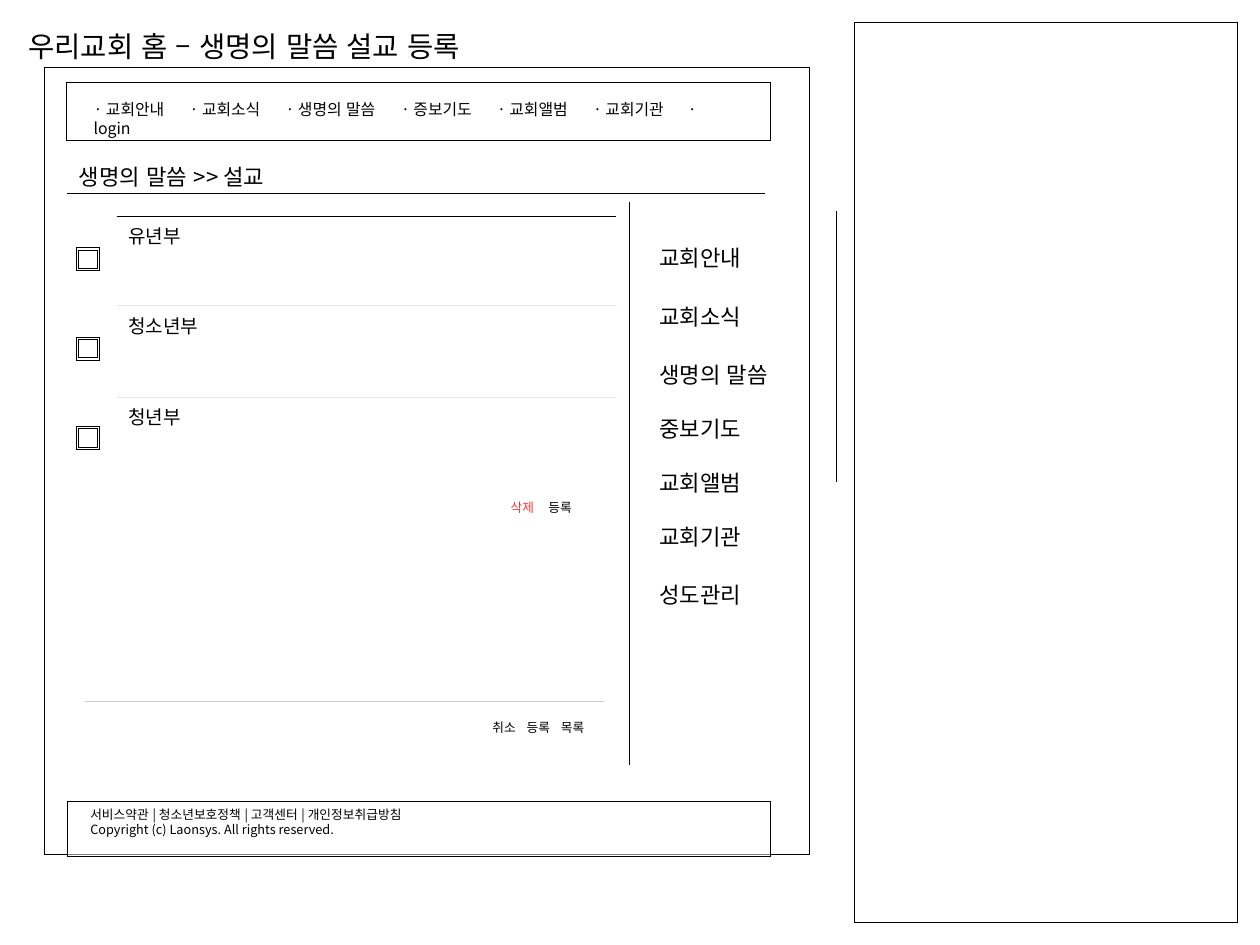
from lxml.etree import SubElement
from pptx import Presentation
from pptx.dml.color import RGBColor
from pptx.enum.shapes import MSO_CONNECTOR, MSO_SHAPE
from pptx.enum.text import MSO_ANCHOR, MSO_AUTO_SIZE, PP_ALIGN
from pptx.oxml.ns import qn
from pptx.util import Inches, Pt

COLORS = {
    "ink": "000000",
    "paper": "FFFFFF",
    "rule": "CCCCCC",
    "row": "E6E6FF",
    "delete": "FF3333",
}
FONT = "Noto Sans CJK KR"
HAIRLINE = Pt(0.01)
CM_PER_INCH = 2.54


def rgb(name):
    return RGBColor.from_string(COLORS[name])


def write_text(paragraph, text, size=14, color="ink", tabs=()):
    """Add one run; tabs are stops in inches from the text edge."""
    if tabs:
        tab_list = SubElement(paragraph._p.get_or_add_pPr(), qn("a:tabLst"))
        for stop in tabs:
            SubElement(tab_list, qn("a:tab"), pos=str(Inches(stop)), algn="l")
    paragraph.alignment = PP_ALIGN.LEFT
    run = paragraph.add_run()
    run.text = text
    run.font.size = Pt(size)
    run.font.name = FONT
    run.font.color.rgb = rgb(color)
    properties = run._r.get_or_add_rPr()
    properties.set("lang", "ko-KR")
    properties.set("kern", "0")
    SubElement(properties, qn("a:ea"), typeface=FONT)


class Wireframe:
    def __init__(self, slide):
        self.slide = slide

    def panel(self, left, top, width, height, kind=MSO_SHAPE.RECTANGLE):
        shape = self.slide.shapes.add_shape(
            kind, Inches(left), Inches(top), Inches(width), Inches(height))
        shape.shadow.inherit = False
        shape.fill.solid()
        shape.fill.fore_color.rgb = rgb("paper")
        fill_color = shape._element.spPr.find(qn("a:solidFill"))[0]
        SubElement(fill_color, qn("a:alpha"), val="50000")
        shape.line.color.rgb = rgb("ink")
        shape.line.width = HAIRLINE
        return shape

    def checkbox(self, left, top, side=0.2):
        shape = self.panel(left, top, side, side, MSO_SHAPE.FRAME)
        shape.adjustments[0] = 0.09

    def line(self, x1, y1, x2, y2, color="ink"):
        connector = self.slide.shapes.add_connector(
            MSO_CONNECTOR.STRAIGHT, Inches(x1), Inches(y1), Inches(x2), Inches(y2))
        connector.line.color.rgb = rgb(color)
        connector.line.width = HAIRLINE
        SubElement(connector._element.spPr, qn("a:effectLst"))

    def text(self, left, top, width, height, text, wrap=False, **style):
        box = self.slide.shapes.add_textbox(
            Inches(left), Inches(top), Inches(width), Inches(height))
        box.text_frame.word_wrap = wrap
        box.text_frame.auto_size = MSO_AUTO_SIZE.SHAPE_TO_FIT_TEXT
        paragraph = box.text_frame.paragraphs[0]
        write_text(paragraph, text, **style)
        return paragraph

    def border(self, cell, side, color=None):
        line = SubElement(cell._tc.get_or_add_tcPr(), qn("a:" + side), w=str(Pt(0.06)))
        if color:
            fill = SubElement(line, qn("a:solidFill"))
            SubElement(fill, qn("a:srgbClr"), val=COLORS[color])
        else:
            SubElement(line, qn("a:noFill"))

    def list_table(self, left, top, width, rows):
        height = sum(row_height for _, row_height in rows)
        table = self.slide.shapes.add_table(
            len(rows), 1, Inches(left), Inches(top), Inches(width), Inches(height)).table
        table.first_row = False
        table.horz_banding = False
        for index, (label, row_height) in enumerate(rows):
            table.rows[index].height = Inches(row_height)
            cell = table.cell(index, 0)
            write_text(cell.text_frame.paragraphs[0], label, size=12)
            self.border(cell, "lnL")
            self.border(cell, "lnR")
            self.border(cell, "lnT", "row" if index else "ink")
            self.border(cell, "lnB", "row" if index < len(rows) - 1 else None)
            cell.fill.solid()
            cell.fill.fore_color.rgb = rgb("paper")


def main():
    presentation = Presentation()
    presentation.slide_width = Inches(28 / CM_PER_INCH)
    presentation.slide_height = Inches(21 / CM_PER_INCH)
    slide = presentation.slides.add_slide(presentation.slide_layouts[6])
    page = Wireframe(slide)

    # Page outline and top menu
    page.panel(0.39, 0.59, 6.69, 6.89)
    page.panel(0.58, 0.72, 6.16, 0.51)
    menu = ["교회안내", "교회소식", "생명의 말씀", "증보기도", "교회앨범", "교회기관", "login"]
    page.text(0.72, 0.82, 5.78, 0.3, "\t".join("· " + item for item in menu),
              wrap=True, size=10, tabs=(0.84, 1.68, 2.69, 3.53, 4.37, 5.2))

    # Footer
    footer = page.panel(0.59, 7.01, 6.15, 0.48).text_frame
    footer.word_wrap = True
    footer.vertical_anchor = MSO_ANCHOR.TOP
    footer.margin_left = Inches(0.2)
    write_text(footer.paragraphs[0],
               "서비스약관 | 청소년보호정책 | 고객센터 | 개인정보취급방침", size=8)
    write_text(footer.add_paragraph(),
               "Copyright (c) Laonsys. All rights reserved.", size=8)

    # Notes panel and headings
    page.panel(7.48, 0.2, 3.35, 7.87)
    page.text(0.15, 0.2, 4.29, 0.46, "우리교회 홈 – 생명의 말씀 설교 등록", size=18)
    page.text(0.59, 1.38, 1.97, 0.38, "생명의 말씀 >> 설교")

    # Dividers
    page.line(0.59, 1.69, 6.69, 1.69)
    page.line(5.51, 1.77, 5.51, 6.69)
    page.line(7.32, 1.85, 7.32, 4.21)
    page.line(0.75, 6.14, 5.28, 6.14, "rule")

    # Side menu
    side_menu = [("교회안내", 2.09), ("교회소식", 2.6), ("생명의 말씀", 3.11),
                 ("중보기도", 3.58), ("교회앨범", 4.06), ("교회기관", 4.53),
                 ("성도관리", 5.04)]
    for label, top in side_menu:
        page.text(5.67, top, 1.23 if " " in label else 0.98, 0.38, label)

    # Action buttons
    page.text(4.21, 6.25, 1.07, 0.26, "취소\t등록\t목록", wrap=True, size=8, tabs=(0.3, 0.6))
    actions = page.text(4.37, 4.32, 0.78, 0.26, "삭제", wrap=True, size=8,
                        color="delete", tabs=(0.33,))
    write_text(actions, "\t등록", size=8)

    # Sermon groups with their checkboxes
    page.list_table(1.02, 1.89, 4.37, [("유년부", 0.78), ("청소년부", 0.8), ("청년부", 0.78)])
    for index in range(3):
        page.checkbox(0.67, 2.17 + 0.78 * index)

    presentation.save("out.pptx")


if __name__ == "__main__":
    main()
